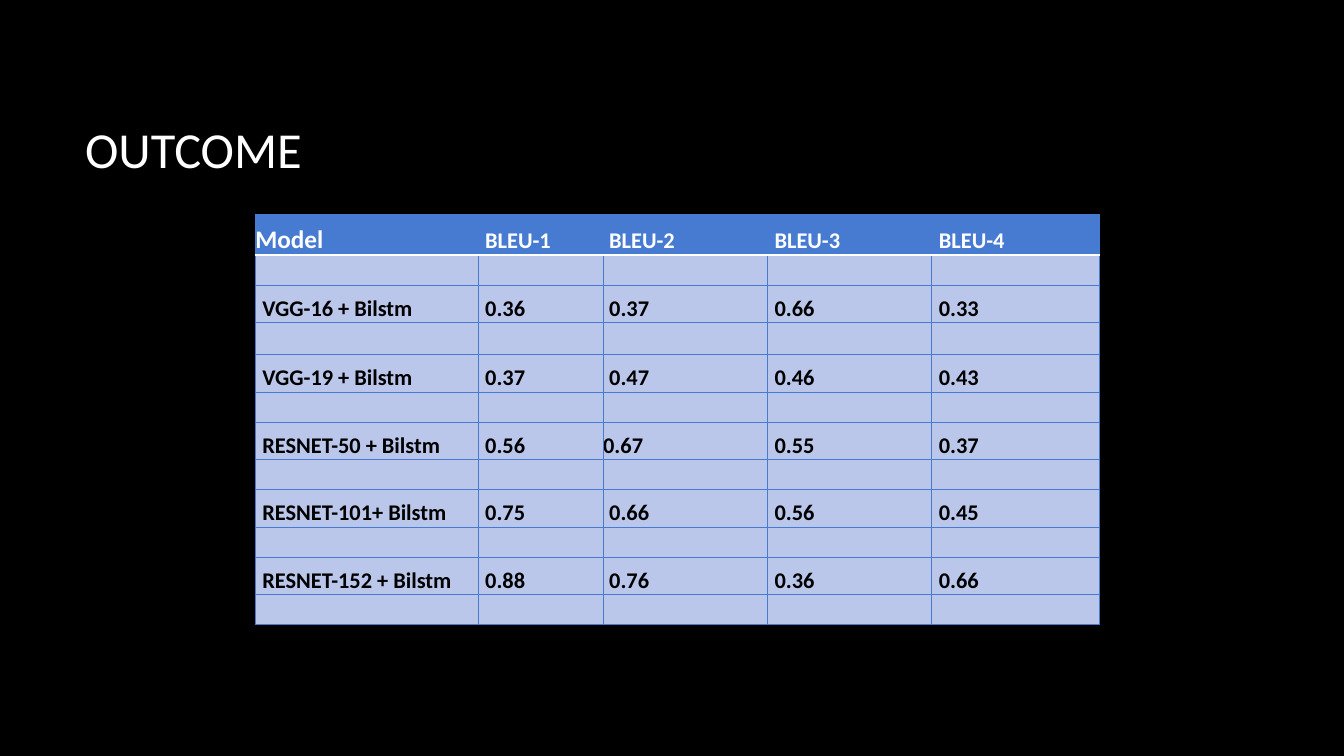
from dataclasses import dataclass

from lxml import etree
from pptx import Presentation
from pptx.dml.color import RGBColor
from pptx.enum.text import MSO_ANCHOR, PP_ALIGN
from pptx.oxml.ns import qn
from pptx.util import Inches, Pt

MIDDLE = MSO_ANCHOR.MIDDLE
BOTTOM = MSO_ANCHOR.BOTTOM
JUSTIFY = PP_ALIGN.JUSTIFY


@dataclass(frozen=True)
class Theme:
    font: str = "Calibri"
    background: str = "000000"
    light: str = "FFFFFF"
    dark: str = "000000"
    accent: str = "477BD1"
    band: str = "BAC7EA"
    title_size: int = 36
    lead_size: int = 18
    cell_size: int = 16
    rule: float = 0.75
    header_rule: float = 1.5


THEME = Theme()
SLIDE_WIDTH, SLIDE_HEIGHT = Inches(13.33), Inches(7.5)
COLUMN_WIDTHS = [2.21, 1.24, 1.63, 1.63, 1.66]
COLUMN_INDENTS = [0.07, 0.07, 0.06, 0.07, 0.07]
HEADER_HEIGHT, RESULT_HEIGHT, GAP_HEIGHT = 0.4, 0.37, 0.3
GAP_HEIGHTS = {3: 0.32}
FLUSH_CELLS = {(0, 0), (6, 2)}

HEADERS = ["Model", "BLEU-1", "BLEU-2", "BLEU-3", "BLEU-4"]
RESULTS = [
    (["VGG-16 + Bilstm", "0.36", "0.37", "0.66", "0.33"], 12.8),
    (["VGG-19 + Bilstm", "0.37", "0.47", "0.46", "0.43"], 12.8),
    (["RESNET-50 + Bilstm", "0.56", "0.67", "0.55", "0.37"], 13),
    (["RESNET-101+ Bilstm", "0.75", "0.66", "0.56", "0.45"], 13),
    (["RESNET-152 + Bilstm", "0.88", "0.76", "0.36", "0.66"], 13),
]


def place(left, top, width, height):
    return (
        int(SLIDE_WIDTH * left),
        int(SLIDE_HEIGHT * top),
        int(SLIDE_WIDTH * width),
        int(SLIDE_HEIGHT * height),
    )


def style_font(font, size, color, bold=False):
    font.name = THEME.font
    font.size = Pt(size)
    font.bold = bold
    font.color.rgb = RGBColor.from_string(color)


def add_title(page, text):
    box = page.shapes.add_textbox(*place(0.056, 0.09, 0.83, 0.212))
    frame = box.text_frame
    frame.word_wrap = True
    frame.vertical_anchor = MIDDLE
    para = frame.paragraphs[0]
    para.text = text
    style_font(para.font, THEME.title_size, THEME.light)


def add_border(cell, side, color, width):
    properties = cell._tc.get_or_add_tcPr()
    line = etree.SubElement(properties, qn(f"a:ln{side}"), w=str(Pt(width)))
    fill = etree.SubElement(line, qn("a:solidFill"))
    etree.SubElement(fill, qn("a:srgbClr"), val=color)


def style_cell(cell, row):
    white_sides = {0: "B", 1: "T"}
    for side in "LRTB":
        if side == white_sides.get(row):
            add_border(cell, side, THEME.light, THEME.header_rule)
        else:
            add_border(cell, side, THEME.accent, THEME.rule)
    cell.fill.solid()
    color = THEME.band if row else THEME.accent
    cell.fill.fore_color.rgb = RGBColor.from_string(color)
    cell.margin_left = cell.margin_right = 0
    cell.margin_top = cell.margin_bottom = 0
    cell.vertical_anchor = BOTTOM


def fill_cell(cell, text, row, column, spacing):
    style_cell(cell, row)
    para = cell.text_frame.paragraphs[0]
    para.text = text
    para.alignment = JUSTIFY
    if spacing:
        para.line_spacing = Pt(spacing)
    if (row, column) not in FLUSH_CELLS:
        indent = Inches(COLUMN_INDENTS[column])
        para._p.get_or_add_pPr().set("marL", str(indent))
    size = THEME.cell_size if row or column else THEME.lead_size
    style_font(para.font, size, THEME.dark if row else THEME.light, bold=True)


def add_results_table(page):
    gap = ([""] * len(HEADERS), None)
    lines = [(HEADERS, None), gap]
    for result in RESULTS:
        lines += [result, gap]
    frame = page.shapes.add_table(
        len(lines), len(HEADERS), *place(0.19, 0.284, 0.628, 0.543)
    )
    table = frame.table
    for column, width in zip(table.columns, COLUMN_WIDTHS):
        column.width = Inches(width)
    for row, (texts, spacing) in enumerate(lines):
        if row == 0:
            height = HEADER_HEIGHT
        elif row % 2:
            height = GAP_HEIGHTS.get(row, GAP_HEIGHT)
        else:
            height = RESULT_HEIGHT
        table.rows[row].height = Inches(height)
        for column, text in enumerate(texts):
            fill_cell(table.cell(row, column), text, row, column, spacing)


def main():
    deck = Presentation()
    deck.slide_width, deck.slide_height = SLIDE_WIDTH, SLIDE_HEIGHT
    page = deck.slides.add_slide(deck.slide_layouts[6])
    page.background.fill.solid()
    page.background.fill.fore_color.rgb = RGBColor.from_string(THEME.background)
    add_title(page, "OUTCOME")
    add_results_table(page)
    deck.save("out.pptx")


if __name__ == "__main__":
    main()
